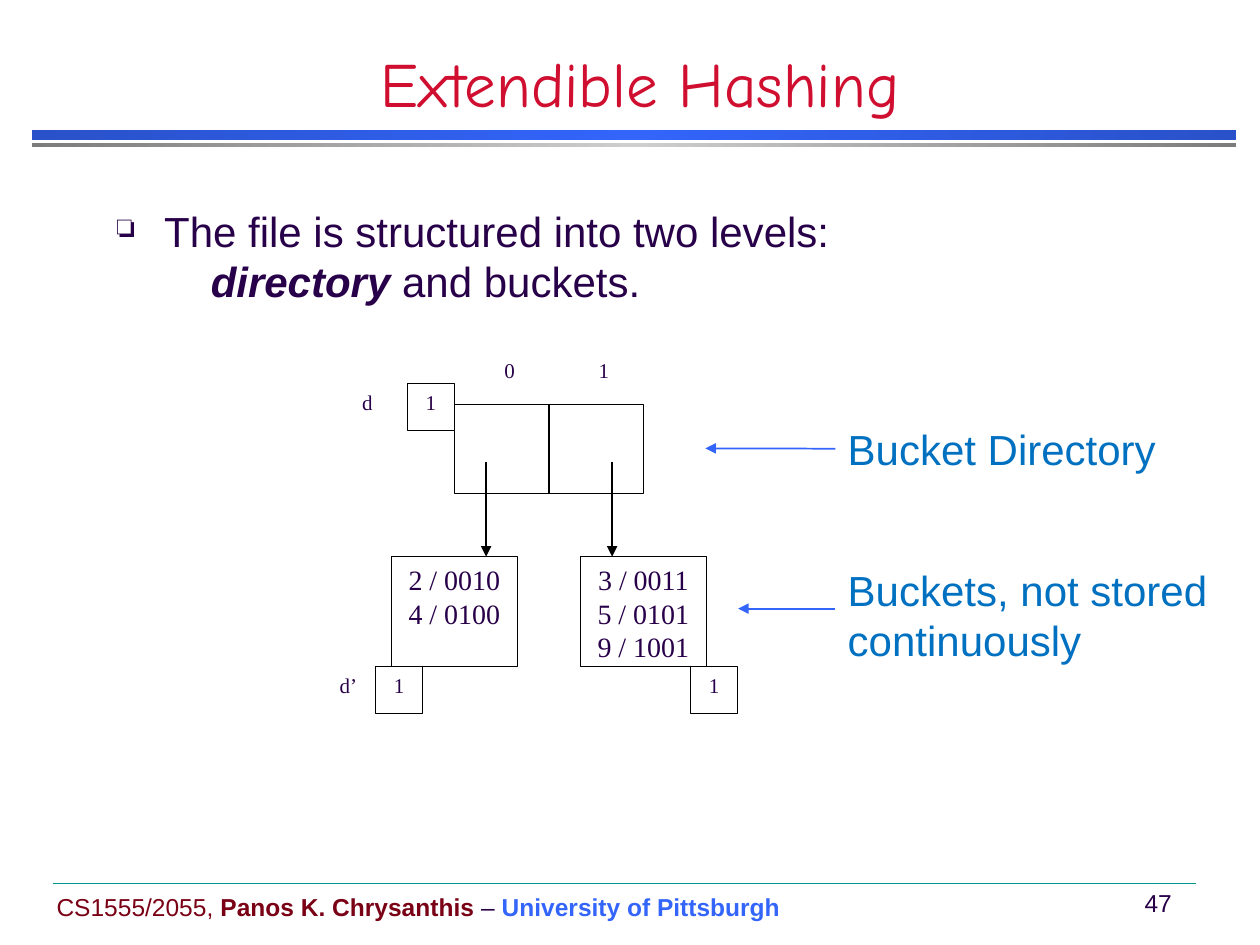
from copy import deepcopy
from dataclasses import dataclass

from lxml import etree
from pptx import Presentation
from pptx.dml.color import RGBColor
from pptx.enum.shapes import MSO_CONNECTOR, MSO_SHAPE
from pptx.enum.text import MSO_ANCHOR, PP_ALIGN
from pptx.oxml.ns import qn
from pptx.shapes.autoshape import Shape
from pptx.shapes.connector import Connector
from pptx.slide import Slide
from pptx.text.text import _Paragraph
from pptx.util import Cm, Pt

RECTANGLE = MSO_SHAPE.RECTANGLE
STRAIGHT = MSO_CONNECTOR.STRAIGHT
LEFT, CENTER = PP_ALIGN.LEFT, PP_ALIGN.CENTER
TOP, MIDDLE, BOTTOM = MSO_ANCHOR.TOP, MSO_ANCHOR.MIDDLE, MSO_ANCHOR.BOTTOM
LEFT_SIDE = 1


@dataclass(frozen=True)
class Theme:
    ink: RGBColor = RGBColor(0x28, 0x00, 0x49)
    title: RGBColor = RGBColor(0xCF, 0x0E, 0x30)
    blue: RGBColor = RGBColor(0x33, 0x65, 0xFB)
    deep_blue: RGBColor = RGBColor(0x29, 0x51, 0xC9)
    gray: RGBColor = RGBColor(0x7C, 0x7C, 0x7C)
    light_gray: RGBColor = RGBColor(0xCE, 0xCE, 0xCE)
    label: RGBColor = RGBColor(0x00, 0x70, 0xC0)
    course: RGBColor = RGBColor(0x79, 0x00, 0x15)
    rule: RGBColor = RGBColor(0x00, 0x96, 0x88)
    black: RGBColor = RGBColor(0, 0, 0)
    sans: str = "Arial"
    serif: str = "Times New Roman"
    hand: str = "Comic Neue"
    title_size: int = 36
    body_size: int = 24
    key_size: int = 16
    footer_size: int = 14
    depth_size: int = 12


THEME = Theme()


@dataclass(frozen=True)
class Area:
    left: float
    top: float
    width: float
    height: float

    def lengths(self) -> tuple[Cm, Cm, Cm, Cm]:
        return Cm(self.left), Cm(self.top), Cm(self.width), Cm(self.height)


@dataclass(frozen=True)
class Bucket:
    prefix: str
    keys: tuple[str, ...]
    depth: str


def add_span(para: _Paragraph, text: str, *, size: int = THEME.body_size,
             font: str = THEME.sans, color: RGBColor = THEME.ink,
             bold: bool = False, italic: bool = False) -> None:
    span = para.add_run()
    span.text = text
    span.font.size = Pt(size)
    span.font.name = font
    span.font.color.rgb = color
    span.font.bold = bold
    span.font.italic = italic


def fill_lines(box: Shape, lines: tuple[str, ...], align: PP_ALIGN, **style) -> None:
    for index, line in enumerate(lines):
        para = box.text_frame.add_paragraph() if index else box.text_frame.paragraphs[0]
        para.alignment = align
        add_span(para, line, **style)


def add_text(page: Slide, area: Area, *lines: str, align: PP_ALIGN = LEFT,
             anchor: MSO_ANCHOR = TOP, wrap: bool = True, **style) -> Shape:
    box = page.shapes.add_textbox(*area.lengths())
    box.text_frame.word_wrap = wrap
    box.text_frame.vertical_anchor = anchor
    fill_lines(box, lines, align, **style)
    return box


def add_box(page: Slide, area: Area, *lines: str, size: int = THEME.depth_size) -> Shape:
    box = page.shapes.add_shape(RECTANGLE, *area.lengths())
    box.shadow.inherit = False
    box.fill.background()
    box.line.color.rgb = THEME.black
    box.line.width = Pt(0.75)
    box.text_frame.vertical_anchor = TOP
    fill_lines(box, lines, CENTER, size=size, font=THEME.serif)
    return box


def add_band(page: Slide, area: Area, edge: RGBColor, middle: RGBColor) -> None:
    band = page.shapes.add_shape(RECTANGLE, *area.lengths())
    band.shadow.inherit = False
    band.line.fill.background()
    band.fill.gradient()
    band.fill.gradient_angle = 0
    stops = band._element.spPr.find(".//" + qn("a:gsLst"))
    stops.append(deepcopy(stops[0]))
    for stop, position, color in zip(band.fill.gradient_stops, (0, 0.5, 1), (edge, middle, edge)):
        stop.position = position
        stop.color.rgb = color


def add_line(page: Slide, start: tuple[float, float], end: tuple[float, float],
             color: RGBColor, width: float, arrow: bool = True) -> Connector:
    line = page.shapes.add_connector(STRAIGHT, *map(Cm, start + end))
    line.line.color.rgb = color
    line.line.width = Pt(width)
    if arrow:
        etree.SubElement(line.line._get_or_add_ln(), qn("a:tailEnd"), type="triangle")
    etree.SubElement(line._element.spPr, qn("a:effectLst"))
    return line


def set_indent(para: _Paragraph, left: float, first: float = 0, bullet: str = "") -> None:
    properties = para._p.get_or_add_pPr()
    properties.set("marL", str(Cm(left)))
    properties.set("indent", str(Cm(first)))
    if bullet:
        color = etree.SubElement(properties, qn("a:buClr"))
        etree.SubElement(color, qn("a:srgbClr"), val=str(THEME.ink))
        etree.SubElement(properties, qn("a:buSzPct"), val="75000")
        etree.SubElement(properties, qn("a:buChar"), char=bullet)
    else:
        etree.SubElement(properties, qn("a:buNone"))


def draw_frame(page: Slide) -> None:
    add_band(page, Area(0.64, 2.62, 24.28, 0.2), THEME.deep_blue, THEME.blue)
    add_band(page, Area(0.64, 2.89, 24.28, 0.08), THEME.gray, THEME.light_gray)
    add_line(page, (1.07, 17.8), (24.1, 17.8), THEME.rule, 0.25, arrow=False)
    footer = add_text(page, Area(0.89, 17.86, 16.23, 0.84), "CS1555/2055, ", anchor=MIDDLE,
                      wrap=False, size=THEME.footer_size, color=THEME.course)
    para = footer.text_frame.paragraphs[0]
    add_span(para, "Panos K. Chrysanthis", size=THEME.footer_size, color=THEME.course, bold=True)
    add_span(para, " – ", size=THEME.footer_size)
    add_span(para, "University of Pittsburgh", size=THEME.footer_size, color=THEME.blue, bold=True)
    add_text(page, Area(22.73, 17.78, 1.24, 0.84), "47", align=CENTER, anchor=MIDDLE,
             wrap=False, size=THEME.footer_size)


def draw_statement(page: Slide) -> None:
    add_text(page, Area(2.11, 0.43, 21.59, 2.11), "Extendible Hashing", align=CENTER,
             anchor=BOTTOM, size=THEME.title_size, font=THEME.hand, color=THEME.title)
    body = add_text(page, Area(2.11, 4.01, 22.43, 2.4), "The file is structured into two levels:")
    set_indent(body.text_frame.paragraphs[0], 0.95, -0.95, "❏")
    para = body.text_frame.add_paragraph()
    set_indent(para, 1.89)
    add_span(para, "directory", bold=True, italic=True)
    add_span(para, " and buckets.")


def draw_hash_table(page: Slide, buckets: tuple[Bucket, ...]) -> None:
    side = 0.95
    note = {"align": CENTER, "size": THEME.depth_size, "font": THEME.serif}
    for index, bucket in enumerate(buckets):
        add_box(page, Area(9.17 + 1.9 * index, 8.15, 1.9, 1.8))
        add_text(page, Area(9.8 + 1.9 * index, 7.09, side, side), bucket.prefix, **note)
        add_box(page, Area(7.89 + 3.81 * index, 11.22, 2.54, 2.22), *bucket.keys,
                size=THEME.key_size)
        add_box(page, Area(7.57 + 6.35 * index, 13.44, side, side), bucket.depth)
        pointer = 9.8 + 2.54 * index
        add_line(page, (pointer, 9.32), (pointer, 11.22), THEME.black, 0.75)
    add_box(page, Area(8.21, 7.73, side, side), "1")
    add_text(page, Area(6.93, 7.73, side, side), "d", **note)
    add_text(page, Area(6.55, 13.44, side, side), "d’", **note)


def draw_labels(page: Slide) -> None:
    directory = add_text(page, Area(16.84, 8.41, 7.92, 1.27), "Bucket Directory",
                         color=THEME.label)
    add_text(page, Area(16.84, 11.25, 7.92, 2.31), "Buckets, not stored continuously",
             color=THEME.label)
    arrow = add_line(page, (16.84, 9.04), (14.22, 9.04), THEME.blue, 1)
    arrow.begin_connect(directory, LEFT_SIDE)
    add_line(page, (16.84, 12.27), (14.88, 12.27), THEME.blue, 1)


def main() -> None:
    deck = Presentation()
    deck.slide_width, deck.slide_height = Cm(25.4), Cm(19.05)
    page = deck.slides.add_slide(deck.slide_layouts[6])
    draw_frame(page)
    draw_statement(page)
    draw_hash_table(page, (
        Bucket("0", ("2 / 0010", "4 / 0100"), "1"),
        Bucket("1", ("3 / 0011", "5 / 0101", "9 / 1001"), "1"),
    ))
    draw_labels(page)
    deck.save("out.pptx")


if __name__ == "__main__":
    main()
